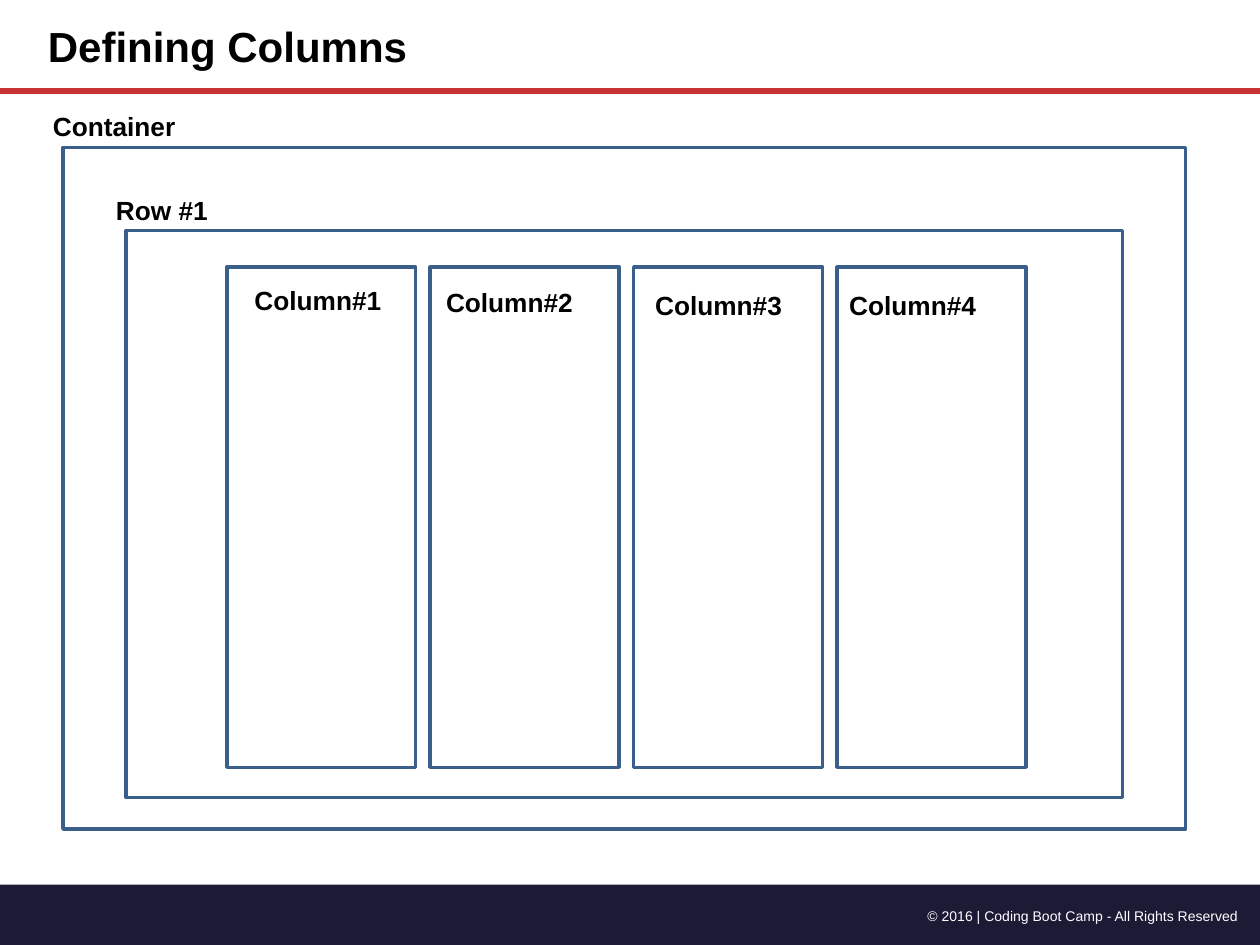
from pptx import Presentation
from pptx.dml.color import RGBColor as Rgb
from pptx.enum.shapes import MSO_CONNECTOR as Link, MSO_SHAPE as Kind
from pptx.enum.text import MSO_AUTO_SIZE as Fit, PP_ALIGN as Align
from pptx.oxml.ns import qn
from pptx.util import Inches, Pt
from lxml.etree import SubElement

COLS, ROWS = 20, 15
CELL = Inches(0.5)
INK = {"navy": "1D1A36", "red": "C83232", "blue": "3A5F8B",
       "black": "000000", "white": "FFFFFF"}


def grid(*vals):
    """Turn grid units into slide lengths."""
    return [round(v * CELL) for v in vals]


def hue(name):
    """Look up a colour by name."""
    return Rgb.from_string(INK[name])


def box(slide, x, y, w, h, fill=None, line=None):
    """Draw a rectangle with an optional fill and outline."""
    rect = slide.shapes.add_shape(Kind.RECTANGLE, *grid(x, y, w, h))
    rect.shadow.inherit = False
    if fill:
        rect.fill.solid()
        rect.fill.fore_color.rgb = hue(fill)
    else:
        rect.fill.background()
    if line:
        rect.line.color.rgb = hue(line)
        rect.line.width = Pt(2)
    else:
        rect.line.fill.background()


def rule(slide, y, ink, width):
    """Draw a line across the whole slide."""
    line = slide.shapes.add_connector(Link.STRAIGHT, *grid(0, y, COLS, y))
    line.line.color.rgb = hue(ink)
    line.line.width = Pt(width)
    SubElement(line._element.spPr, qn("a:effectLst"))


def text(slide, words, x, y, w, h=0.66, size=15, bold=True, ink="black",
         align=Align.LEFT):
    """Place one line of formatted text."""
    area = slide.shapes.add_textbox(*grid(x, y, w, h))
    frame = area.text_frame
    frame.word_wrap = True
    frame.auto_size = Fit.SHAPE_TO_FIT_TEXT
    frame.margin_left = frame.margin_right = Inches(0.05)
    frame.margin_top = frame.margin_bottom = Inches(0.05)
    para = frame.paragraphs[0]
    para.text = words
    para.alignment = align
    font = para.runs[0].font
    font.name, font.size, font.bold = "Arial", Pt(size), bold
    font.color.rgb = hue(ink)


def frame_page(slide):
    """Draw the title, the rule below it and the footer."""
    box(slide, 0, 14.04, COLS, 0.96, fill="navy")
    text(slide, "© 2016 | Coding Boot Camp - All Rights Reserved",
         13.66, 14.3, 6.1, 0.44, size=8, bold=False, ink="white",
         align=Align.RIGHT)
    rule(slide, 1.44, "red", 3.25)
    text(slide, "Defining Columns", 0.66, 0.22, 11.16, 0.96, size=24)


def nest(slide):
    """Draw the container, its row and the columns in it."""
    for name, x, y, w, h in (("Container", 1, 2.34, 17.82, 10.82),
                             ("Row #1", 2, 3.66, 15.82, 9)):
        box(slide, x, y, w, h, line="blue")
        text(slide, name, x - 0.26, y - 0.68, 11.16)
    spots = (3.94, 4.42), (6.98, 4.44), (10.3, 4.5), (13.38, 4.5)
    for i, (x, y) in enumerate(spots):
        box(slide, 3.6 + 3.23 * i, 4.24, 3, 7.94, line="blue")
        text(slide, f"Column#{i + 1}", x, y, 2.48)


def main():
    """Build and save the slide."""
    deck = Presentation()
    deck.slide_width, deck.slide_height = grid(COLS, ROWS)
    slide = deck.slides.add_slide(deck.slide_layouts[6])
    frame_page(slide)
    nest(slide)
    deck.save("out.pptx")


if __name__ == "__main__":
    main()
